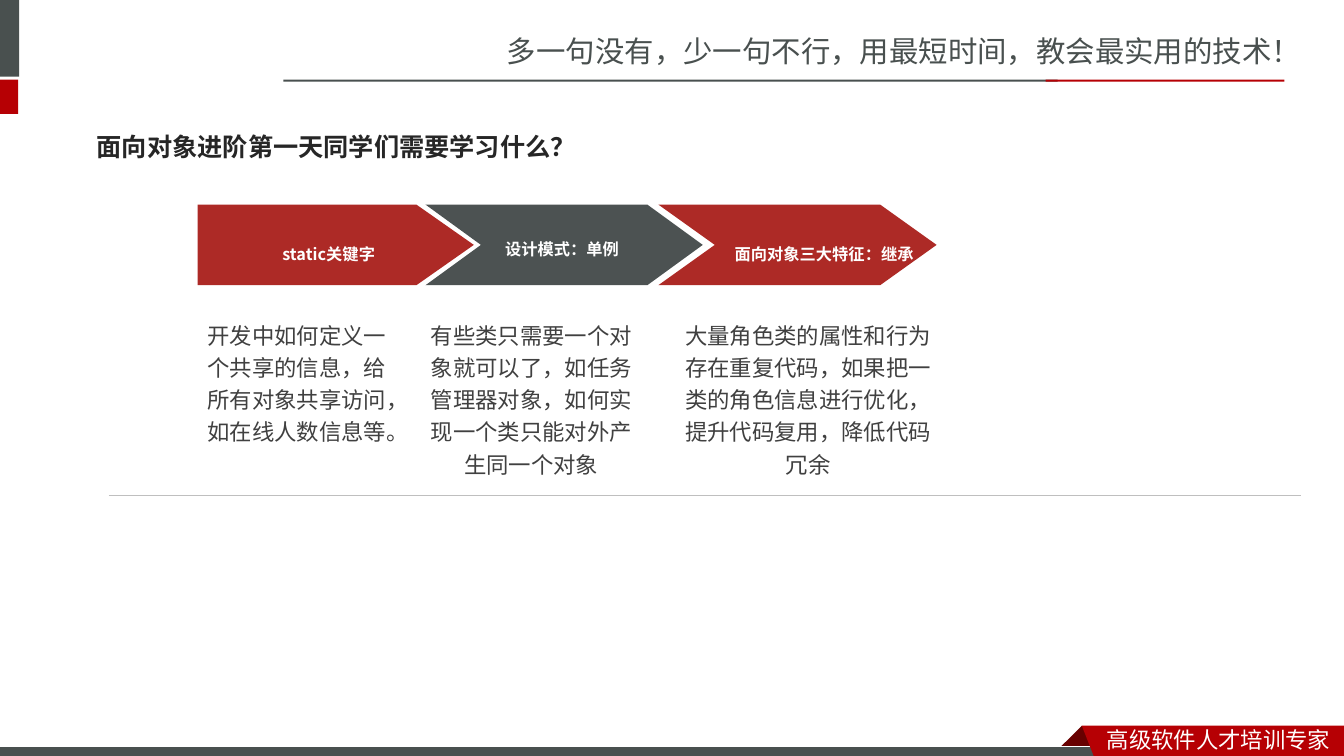
from dataclasses import dataclass

from lxml import etree
from pptx import Presentation
from pptx.dml.color import RGBColor
from pptx.enum.shapes import MSO_CONNECTOR as Connector, MSO_SHAPE as Preset
from pptx.enum.text import MSO_ANCHOR as Anchor, MSO_AUTO_SIZE as AutoSize, PP_ALIGN as Align
from pptx.oxml.ns import qn
from pptx.util import Inches, Pt

GREY, RED, DARK_RED = "49504F", "B60004", "680000"
TOPIC_RED, TOPIC_GREY = "AD2A26", "4C5252"
WHITE, TEXT_GREY, TITLE_BLACK, RULE_GREY = "FFFFFF", "404040", "262626", "BFBFBF"
FONT_SC, FONT_JP = "Noto Sans CJK SC", "Noto Sans CJK JP"
ARROW_TOP, ARROW_MIDDLE, ARROW_BOTTOM = 2.03, 2.43, 2.83

Box = tuple[float, float, float, float]
Point = tuple[float, float]


@dataclass
class Style:
    size: float
    color: str
    latin: str = FONT_JP
    east_asian: str = FONT_JP
    bold: bool = False
    align: Align = Align.LEFT
    spacing: float = 1.0
    anchor: Anchor = Anchor.TOP
    baseline: int = 0


@dataclass
class Topic:
    label: str
    label_box: Box
    label_spacing: float
    detail: str
    detail_box: Box
    detail_align: Align
    color: str
    left: float
    shoulder: float
    tip: float
    notch: float


@dataclass
class Bar:
    box: Box
    color: str
    line: str | None = None


BARS = [
    Bar((-0.06, 0, 0.25, 0.76), GREY),
    Bar((-0.06, 0.79, 0.24, 0.34), RED),
    Bar((2.81, 0.79, 7.68, 0.02), GREY),
    Bar((10.37, 0.79, 2.37, 0.02), RED),
]
FOOTER_BAR = Bar((-0.01, 7.41, 11, 0.12), GREY, WHITE)

TOPICS = [
    Topic("static关键字", (1.95, 2.25, 2.62, 0.36), 1.2,
          "开发中如何定义一个共享的信息，给所有对象共享访问，如在线人数信息等。",
          (1.96, 3.09, 2.12, 1.38), Align.LEFT, TOPIC_RED, 1.96, 4.13, 4.7, 1.96),
    Topic("设计模式：单例", (4.41, 2.25, 2.33, 0.33), 1.0,
          "有些类只需要一个对象就可以了，如任务管理器对象，如何实现一个类只能对外产生同一个对象",
          (4.12, 3.09, 2.3, 1.7), Align.CENTER, TOPIC_GREY, 4.22, 6.42, 6.97, 4.77),
    Topic("面向对象三大特征：继承", (6.68, 2.25, 2.99, 0.36), 1.2,
          "大量角色类的属性和行为存在重复代码，如果把一类的角色信息进行优化，提升代码复用，降低代码冗余",
          (6.64, 3.09, 2.75, 1.7), Align.CENTER, TOPIC_RED, 6.53, 8.73, 9.29, 7.09),
]


def rgb(color: str) -> RGBColor:
    return RGBColor.from_string(color)


def paint(shape, color: str, line: str | None = None) -> None:
    shape.shadow.inherit = False
    shape.fill.solid()
    shape.fill.fore_color.rgb = rgb(color)
    if line:
        shape.line.color.rgb = rgb(line)
        shape.line.width = Pt(0.75)
    else:
        shape.line.fill.background()


def add_bar(slide, bar: Bar) -> None:
    shape = slide.shapes.add_shape(Preset.RECTANGLE, *map(Inches, bar.box))
    paint(shape, bar.color, bar.line)


def add_outline(slide, points: list[Point], color: str) -> None:
    corners = [(Inches(x), Inches(y)) for x, y in points]
    builder = slide.shapes.build_freeform(*corners[0], scale=1.0)
    builder.add_line_segments(corners[1:], close=True)
    paint(builder.convert_to_shape(), color)


def write_text(shape, text: str, style: Style) -> None:
    frame = shape.text_frame
    frame.word_wrap = True
    frame.vertical_anchor = style.anchor
    frame.text = text
    paragraph = frame.paragraphs[0]
    paragraph.alignment = style.align
    paragraph.line_spacing = style.spacing
    font = paragraph.font
    font.size, font.bold, font.name = Pt(style.size), style.bold, style.latin
    font.color.rgb = rgb(style.color)
    # East Asian typeface and lowered baseline
    properties = paragraph._p.pPr.find(qn("a:defRPr"))
    etree.SubElement(properties, qn("a:ea")).set("typeface", style.east_asian)
    if style.baseline:
        properties.set("baseline", str(style.baseline))


def add_text(slide, box: Box, text: str, style: Style) -> None:
    shape = slide.shapes.add_textbox(*map(Inches, box))
    write_text(shape, text, style)
    shape.text_frame.auto_size = AutoSize.SHAPE_TO_FIT_TEXT


def add_topic(slide, topic: Topic) -> None:
    add_outline(slide, [(topic.left, ARROW_TOP), (topic.shoulder, ARROW_TOP),
                        (topic.tip, ARROW_MIDDLE), (topic.shoulder, ARROW_BOTTOM),
                        (topic.left, ARROW_BOTTOM), (topic.notch, ARROW_MIDDLE)], topic.color)
    add_text(slide, topic.label_box, topic.label,
             Style(20, WHITE, bold=True, align=Align.CENTER, spacing=topic.label_spacing,
                   anchor=Anchor.MIDDLE, baseline=-3000))
    add_text(slide, topic.detail_box, topic.detail,
             Style(16, TEXT_GREY, align=topic.detail_align, spacing=1.2))


def add_rule(slide, start: Point, end: Point) -> None:
    rule = slide.shapes.add_connector(Connector.STRAIGHT, *map(Inches, start + end))
    rule.line.color.rgb = rgb(RULE_GREY)
    rule.line.width = Pt(0.25)
    etree.SubElement(rule._element.spPr, qn("a:effectLst"))


def main() -> None:
    presentation = Presentation()
    presentation.slide_width, presentation.slide_height = Inches(13.33), Inches(7.5)
    slide = presentation.slides.add_slide(presentation.slide_layouts[5])

    # Header
    add_text(slide, (4.93, 0.28, 8.41, 0.47), "多一句没有，少一句不行，用最短时间，教会最实用的技术！",
             Style(21, GREY, FONT_SC, FONT_SC))
    for bar in BARS:
        add_bar(slide, bar)

    # Footer ribbon
    add_outline(slide, [(10.73, 7.2), (10.95, 7.42), (10.94, 7.43),
                        (10.52, 7.43), (10.51, 7.42)], DARK_RED)
    add_bar(slide, FOOTER_BAR)
    add_outline(slide, [(10.73, 7.2), (13.33, 7.2), (13.33, 7.54), (10.86, 7.53)], RED)
    add_text(slide, (10.88, 7.15, 2.45, 0.37), "高级软件人才培训专家",
             Style(16, WHITE, FONT_SC, FONT_SC))

    # Title
    title = slide.shapes.title
    title.left, title.top, title.width, title.height = map(Inches, (0.86, 1.17, 5.7, 0.57))
    write_text(title, "面向对象进阶第一天同学们需要学习什么？",
               Style(18, TITLE_BLACK, "Courier New", FONT_SC, bold=True, anchor=Anchor.MIDDLE))
    title.text_frame.auto_size = AutoSize.NONE

    # Topics and closing rule
    for topic in TOPICS:
        add_topic(slide, topic)
    add_rule(slide, (1.08, 4.91), (12.9, 4.91))

    presentation.save("out.pptx")


if __name__ == "__main__":
    main()
